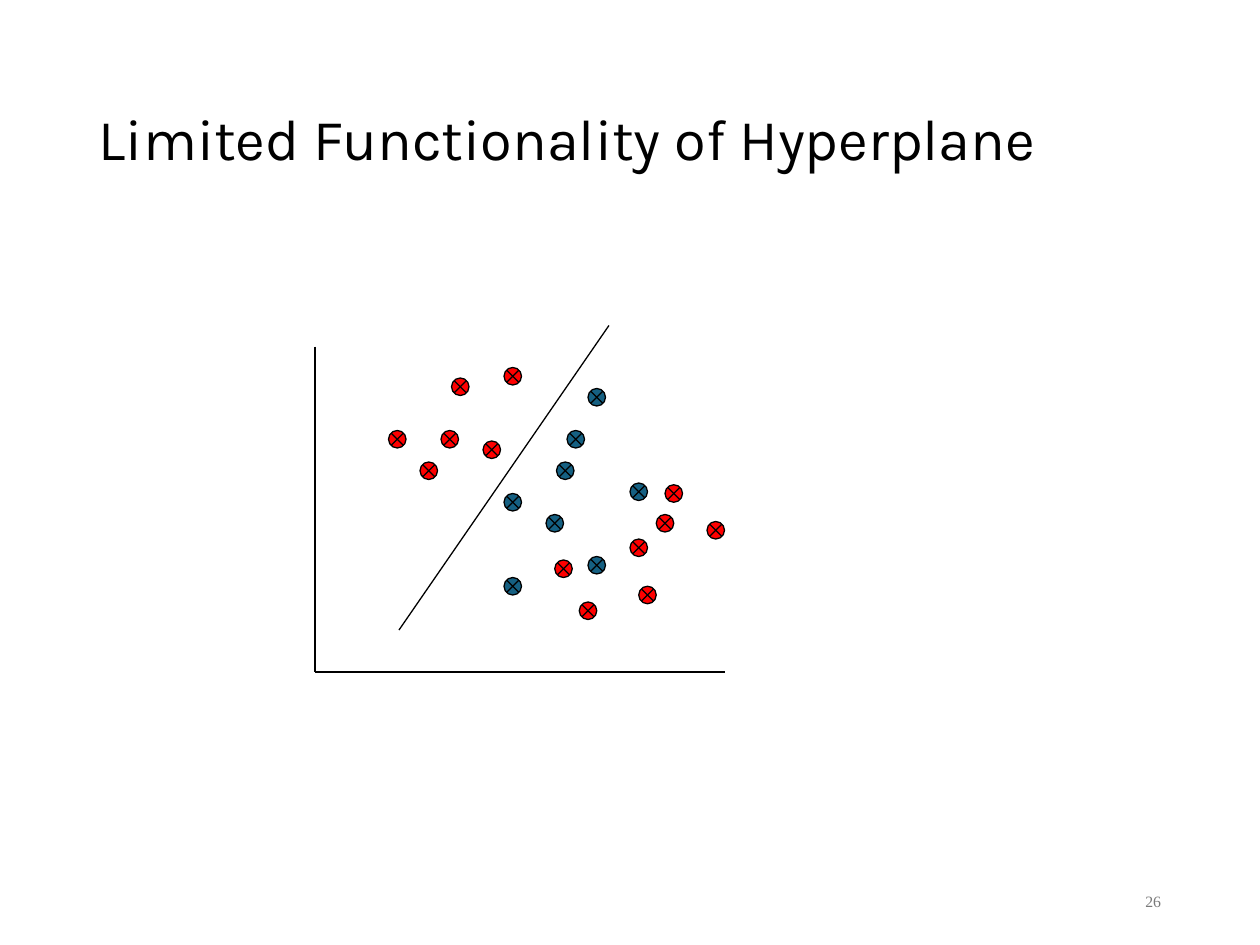
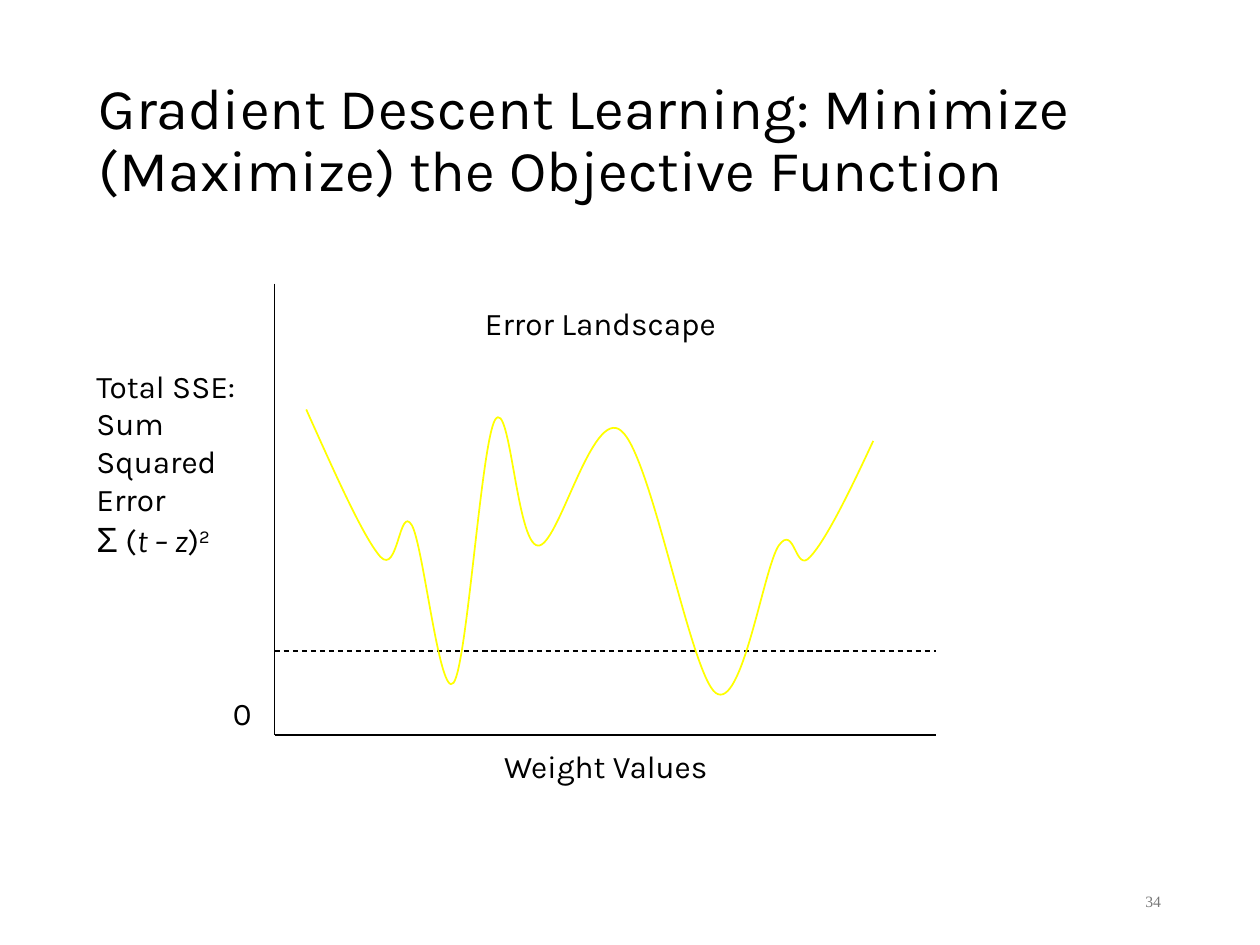
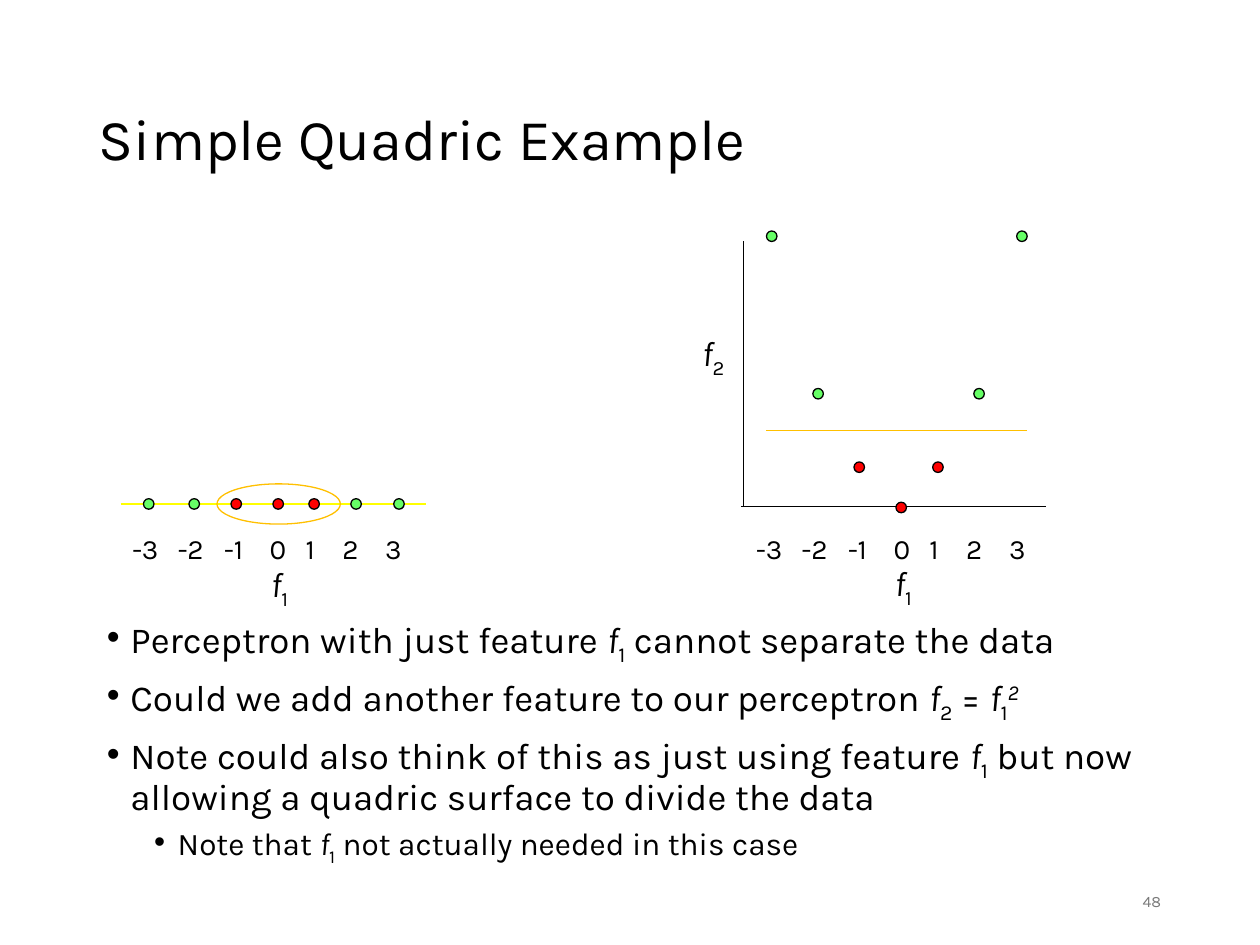
from pptx import Presentation
from pptx.dml.color import RGBColor
from pptx.enum.dml import MSO_LINE
from pptx.enum.shapes import MSO_CONNECTOR, MSO_SHAPE
from pptx.enum.text import MSO_ANCHOR, PP_ALIGN
from pptx.oxml.ns import qn
from pptx.util import Pt
from lxml import etree

STRAIGHT = MSO_CONNECTOR.STRAIGHT
CROSS, OVAL = MSO_SHAPE.FLOWCHART_SUMMING_JUNCTION, MSO_SHAPE.OVAL
DASH = MSO_LINE.DASH
MIDDLE, RIGHT = MSO_ANCHOR.MIDDLE, PP_ALIGN.RIGHT

HUES = {key: RGBColor.from_string(val) for key, val in {
    "black": "000000", "gray": "797979", "blue": "156082", "red": "FF0000",
    "green": "66FF66", "yellow": "FFFF00", "amber": "FFC000"}.items()}
FONT = "Karla"
STYLES = {
    "": {},
    "it": {"italic": True},
    "sub": {"baseline": -25000},
    "sup": {"baseline": 30000},
    "itsup": {"italic": True, "baseline": 30000},
    "sum": {"name": "Arial", "size": Pt(20)},
}
F1 = [("f", "it"), ("1", "sub")]
F2 = [("f", "it"), ("2", "sub")]


def write(slide, box, paras, size, hue="black", font=FONT, anchor=None, **form):
    """Add a text box; each paragraph is a string or a list of (text, style)."""
    frame = slide.shapes.add_textbox(*map(Pt, box)).text_frame
    frame.word_wrap = True
    frame.vertical_anchor = anchor
    for num, runs in enumerate(paras):
        para = frame.add_paragraph() if num else frame.paragraphs[0]
        for key, val in form.items():
            setattr(para, key, val)
        for words, style in [(runs, "")] if isinstance(runs, str) else runs:
            run = para.add_run()
            run.text = words
            run.font.color.rgb = HUES[hue]
            for key, val in {"name": font, "size": Pt(size), **STYLES[style]}.items():
                if key == "baseline":
                    run.font._element.set(key, str(val))
                else:
                    setattr(run.font, key, val)
    return frame


deck = Presentation()
deck.slide_width, deck.slide_height = Pt(720), Pt(540)

# Titles and page numbers
slides = []
for title, page, font in [
    ("Limited Functionality of Hyperplane", "26", "Times New Roman"),
    ("Gradient Descent Learning: Minimize (Maximize) the Objective Function",
     "34", "Times New Roman"),
    ("Simple Quadric Example", "48", FONT),
]:
    slide = deck.slides.add_slide(deck.slide_layouts[6])
    write(slide, (49.5, 29, 621, 104), [title], 33, anchor=MIDDLE, line_spacing=0.9)
    write(slide, (508.5, 500.5, 162, 28.5), [page], 9, "gray", font, MIDDLE,
          alignment=RIGHT)
    slides.append(slide)
plane, descent, quadric = slides

# Axes and dividing lines
for slide, ends, hue, dash in [
    (plane, (180, 198, 180, 384), "black", None),
    (plane, (180, 384, 414, 384), "black", None),
    (plane, (228, 360, 348, 186), "black", None),
    (descent, (157, 162, 157, 420), "black", None),
    (descent, (157, 420, 535, 420), "black", None),
    (descent, (157, 372, 535, 372), "black", DASH),
    (quadric, (69, 288, 243.5, 288), "yellow", None),
    (quadric, (423.5, 289.5, 597.5, 289.5), "black", None),
    (quadric, (425, 289.5, 425, 138), "black", None),
    (quadric, (438, 246, 587, 246), "amber", None),
]:
    rule = slide.shapes.add_connector(STRAIGHT, *map(Pt, ends))
    rule.line.color.rgb = HUES[hue]
    rule.line.width = Pt(0.75)
    rule.line.dash_style = dash
    etree.SubElement(rule._element.spPr, qn("a:effectLst"))

# Data points
for slide, kind, size, hue, spots in [
    (plane, CROSS, 10, "blue", [
        (336, 222), (288, 282), (318, 264), (324, 246),
        (288, 330), (312, 294), (360, 276), (336, 318)]),
    (plane, CROSS, 10, "red", [
        (240, 264), (258, 216), (380, 277), (276, 252), (222, 246),
        (288, 210), (252, 246), (404, 298), (375, 294), (365, 335),
        (360, 308), (331, 344), (317, 320)]),
    (quadric, OVAL, 6, "green", [(x, 285) for x in (82, 108, 200.5, 225)]),
    (quadric, OVAL, 6, "red", [(x, 285) for x in (132, 156, 176.5)]),
    (quadric, OVAL, 6, "green", [
        (438, 132), (464.5, 222), (556.5, 222), (581, 132)]),
    (quadric, OVAL, 6, "red", [(488, 264), (512, 287), (533, 264)]),
]:
    for x, y in spots:
        dot = slide.shapes.add_shape(kind, Pt(x), Pt(y), Pt(size), Pt(size))
        dot.shadow.inherit = False
        dot.fill.solid()
        dot.fill.fore_color.rgb = HUES[hue]
        dot.line.color.rgb = HUES["black"]
        dot.line.width = Pt(0.75)

# Error landscape: a start point, then three points for each Bezier curve
start, *bends = [
    (175, 234),
    (191.5, 270.7), (207.4, 306.7), (217.4, 318.2),
    (227.5, 329), (228.2, 288), (235.4, 300.2),
    (242, 311.8), (251.3, 400.3), (259.2, 390.2),
    (267, 380), (275, 252.7), (283, 239.8),
    (291.6, 226.8), (295.2, 311), (307.4, 311.8),
    (319, 313.2), (338.4, 231.8), (355, 246.2),
    (372.2, 260), (394.6, 385.2), (409, 396),
    (424, 406.8), (436.3, 324.7), (445, 311.8),
    (454.3, 298.8), (454.3, 328.3), (463, 318.2),
    (472.3, 308.2), (486, 280), (499, 252),
]
draft = descent.shapes.build_freeform(*map(Pt, start))
draft.add_line_segments([(Pt(x), Pt(y)) for x, y in bends], close=False)
curve = draft.convert_to_shape()
curve.shadow.inherit = False
curve.fill.background()
curve.line.color.rgb = HUES["yellow"]
curve.line.width = Pt(1)
track = curve._element.find(".//" + qn("a:path"))
steps = track.findall(qn("a:lnTo"))
for num in range(0, len(steps), 3):
    bend = etree.SubElement(track, qn("a:cubicBezTo"))
    for step in steps[num:num + 3]:
        bend.append(step[0])
        track.remove(step)

for box, paras in [
    ((48, 206, 109.5, 119), [
        "Total SSE:", "Sum Squared", "Error",
        [("Σ", "sum"), (" (", ""), ("t – z", "it"), (")", ""), ("2", "sup")]]),
    ((126, 393, 26.5, 36), ["0"]),
    ((270, 170, 173.5, 36), ["Error Landscape"]),
    ((281, 423.5, 157.5, 36), ["Weight Values"]),
]:
    write(descent, box, paras, 18)

# Ring around the inner class
ring = quadric.shapes.add_shape(OVAL, Pt(124), Pt(276.5), Pt(70.5), Pt(23))
ring.shadow.inherit = False
ring.fill.background()
ring.line.color.rgb = HUES["amber"]
ring.line.width = Pt(0.75)

# Scales and feature names
for left in (68.5, 425):
    ticks = write(quadric, (left, 300, 181.5, 26.5), ["-3\t-2\t-1\t0\t1\t2\t3"], 16)
    tabs = etree.SubElement(ticks.paragraphs[0]._p.get_or_add_pPr(), qn("a:tabLst"))
    for stop in (26, 52.5, 78.5, 99, 120, 144.5):
        etree.SubElement(tabs, qn("a:tab"), pos=str(Pt(stop)), algn="l")
for left, top, name in [(147.5, 318, F1), (394, 186, F2), (504, 317.5, F1)]:
    write(quadric, (left, top, 32.5, 31.5), [name], 20)

# Notes under the plots: size, space before and indent by level
levels = [(21, 7.5, 13.5), (18, 3.75, 40.5)]
notes = write(quadric, (54, 349, 612, 140.5), [
    [("Perceptron with just feature ", ""), *F1, (" cannot separate the data", "")],
    [("Could we add another feature to our perceptron ", ""), *F2, (" = ", ""),
     *F1, ("2", "itsup")],
    [("Note could also think of this as just using feature ", ""), *F1,
     (" but now allowing a quadric surface to divide the data", "")],
    [("Note that ", ""), *F1, (" not actually needed in this case", "")],
], 21, line_spacing=0.9)
for para, level in zip(notes.paragraphs, (0, 0, 0, 1)):
    size, gap, inset = levels[level]
    para.level = level
    para.space_before = Pt(gap)
    for run in para.runs:
        run.font.size = Pt(size)
    props = para._p.get_or_add_pPr()
    props.set("marL", str(Pt(inset)))
    props.set("indent", str(-Pt(13.5)))
    etree.SubElement(props, qn("a:buFont"), typeface="Arial")
    etree.SubElement(props, qn("a:buChar"), char="•")

deck.save("out.pptx")
